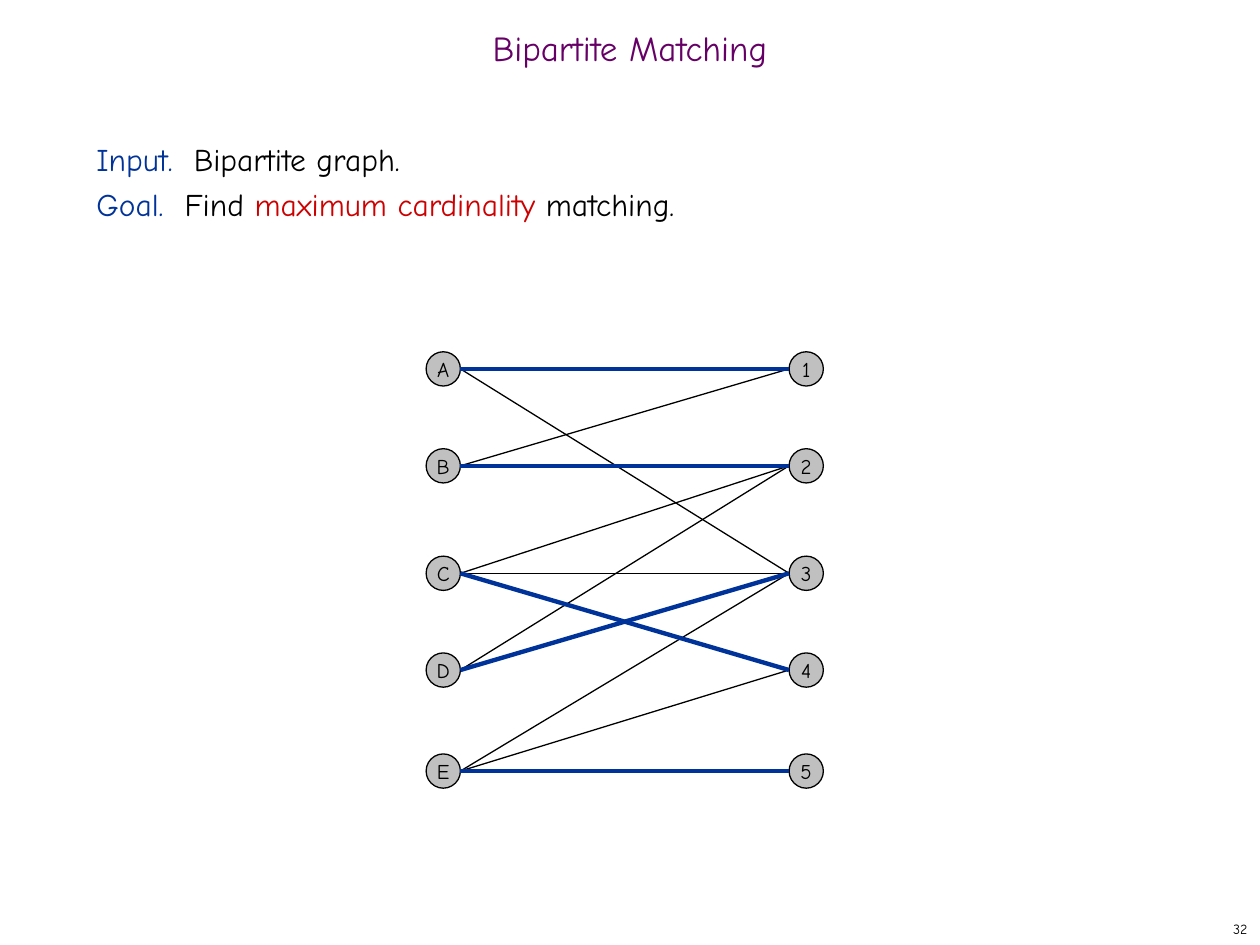
import pptx
import pptx.util
import pptx.dml.color
import pptx.enum.shapes
import pptx.enum.text
import pptx.oxml
import pptx.oxml.ns

Pt = pptx.util.Pt
RGBColor = pptx.dml.color.RGBColor
Align = pptx.enum.text.PP_ALIGN
Anchor = pptx.enum.text.MSO_ANCHOR

FONT = "Comic Neue"
BLACK = RGBColor(0x00, 0x00, 0x00)
PURPLE = RGBColor(0x66, 0x00, 0x66)
BLUE = RGBColor(0x00, 0x33, 0x99)
RED = RGBColor(0xCC, 0x00, 0x00)
GRAY = RGBColor(0xC0, 0xC0, 0xC0)

NODE_SIZE = 19.6
ROW_OFFSETS = [0, 55.4, 116.8, 172.1, 229.8]
LEFT_NODES = "ABCDE"
RIGHT_NODES = "12345"
EDGES = ["A1", "A3", "B1", "B2", "C2", "C3", "C4", "D2", "D3", "E3", "E4", "E5"]
MATCHING = ["A1", "B2", "C4", "D3", "E5"]


def add_run(paragraph, text, *, size, color=BLACK):
    run = paragraph.add_run()
    run.text = text
    run.font.name = FONT
    run.font.size = Pt(size)
    run.font.color.rgb = color


def format_frame(frame, anchor, wrap):
    frame.word_wrap = wrap
    frame.vertical_anchor = anchor
    frame.margin_left = frame.margin_right = Pt(7.2)
    frame.margin_top = frame.margin_bottom = Pt(3.6)


def add_text_box(slide, box, paragraphs, *, size, align=Align.LEFT,
                 anchor=Anchor.MIDDLE, spacing=None, wrap=True):
    shape = slide.shapes.add_textbox(*map(Pt, box))
    frame = shape.text_frame
    format_frame(frame, anchor, wrap)
    for index, runs in enumerate(paragraphs):
        paragraph = frame.add_paragraph() if index else frame.paragraphs[0]
        paragraph.alignment = align
        paragraph.line_spacing = spacing
        for text, color in runs:
            add_run(paragraph, text, size=size, color=color)


def add_title(slide, box):
    add_text_box(slide, box, [[("Bipartite Matching", PURPLE)]],
                 size=20, align=Align.CENTER, spacing=0.7)


def add_problem(slide, box):
    paragraphs = [
        [("Input.  ", BLUE), ("Bipartite graph.", BLACK)],
        [("Goal.  ", BLUE), ("Find ", BLACK),
         ("maximum cardinality", RED), (" matching.", BLACK)],
    ]
    add_text_box(slide, box, paragraphs, size=18, anchor=Anchor.TOP, spacing=Pt(26))


def add_page_number(slide, box):
    add_text_box(slide, box, [[("32", BLACK)]], size=8, align=Align.RIGHT, wrap=False)


def add_node(slide, left, top, label):
    shape = slide.shapes.add_shape(
        pptx.enum.shapes.MSO_SHAPE.OVAL, Pt(left), Pt(top), Pt(NODE_SIZE), Pt(NODE_SIZE))
    shape.shadow.inherit = False
    shape.fill.solid()
    shape.fill.fore_color.rgb = GRAY
    shape.line.color.rgb = BLACK
    shape.line.width = Pt(0.75)
    format_frame(shape.text_frame, Anchor.MIDDLE, False)
    paragraph = shape.text_frame.paragraphs[0]
    paragraph.alignment = Align.CENTER
    add_run(paragraph, label, size=12)


def add_edge(slide, start, end, color, width):
    connector = slide.shapes.add_connector(
        pptx.enum.shapes.MSO_CONNECTOR.STRAIGHT, *map(Pt, start + end))
    connector.line.color.rgb = color
    connector.line.width = Pt(width)
    properties = connector._element.spPr
    properties.append(pptx.oxml.parse_xml(
        "<a:effectLst %s/>" % pptx.oxml.ns.nsdecls("a")))


def add_graph(slide, box):
    left, top, width, _ = box
    right = left + width - NODE_SIZE
    ports = {}
    for x, port_x, labels in [(left, left + NODE_SIZE, LEFT_NODES),
                              (right, right, RIGHT_NODES)]:
        for label, offset in zip(labels, ROW_OFFSETS):
            add_node(slide, x, top + offset, label)
            ports[label] = (port_x, top + offset + NODE_SIZE / 2)
    for edges, color, line_width in [(EDGES, BLACK, 0.75), (MATCHING, BLUE, 2.5)]:
        for start, end in edges:
            add_edge(slide, ports[start], ports[end], color, line_width)


def main():
    presentation = pptx.Presentation()
    presentation.slide_width = Pt(720)
    presentation.slide_height = Pt(540)
    slide = presentation.slides.add_slide(presentation.slide_layouts[6])
    add_page_number(slide, (570, 522, 150, 18))
    add_title(slide, (0, 12, 720, 36))
    add_problem(slide, (48, 72, 618, 426))
    add_graph(slide, (243.5, 201, 227, 249.4))
    presentation.save("out.pptx")


if __name__ == "__main__":
    main()
